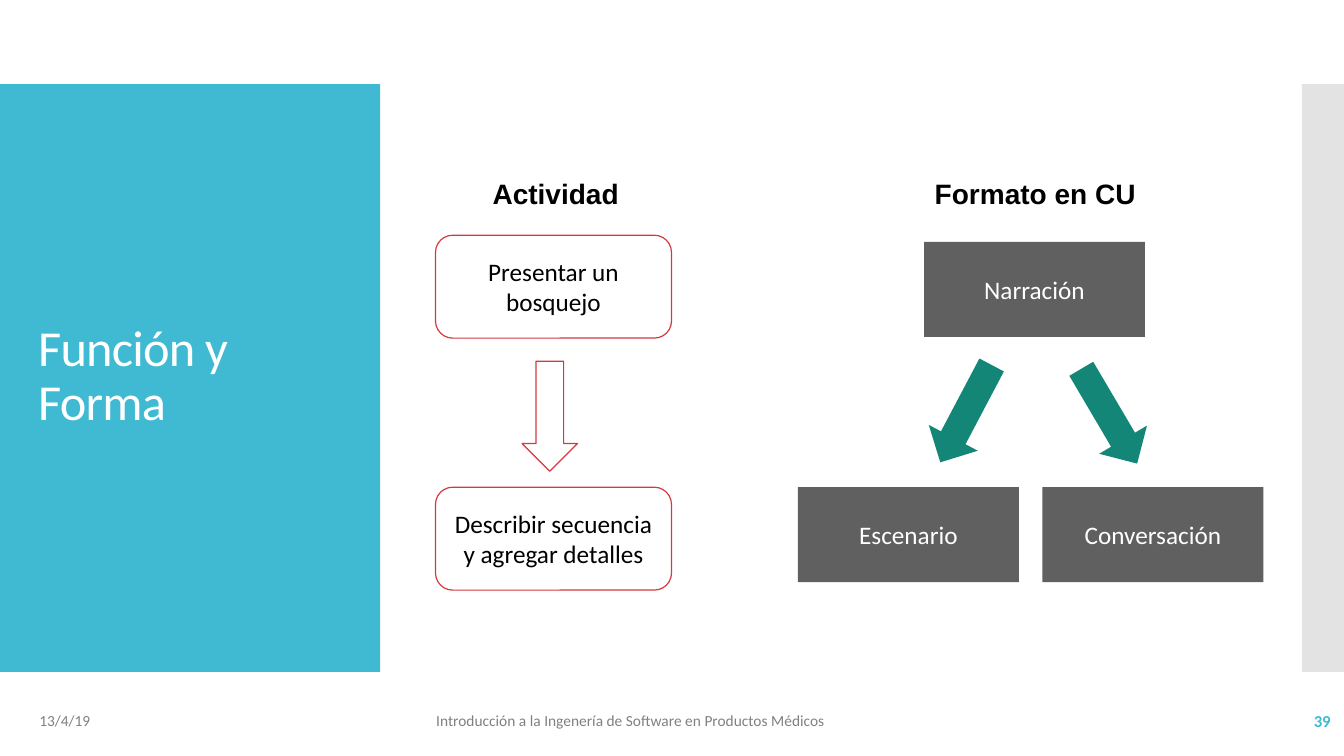
from lxml import etree
from pptx import Presentation
from pptx.dml.color import RGBColor
from pptx.enum.shapes import MSO_SHAPE
from pptx.enum.text import MSO_ANCHOR, MSO_AUTO_SIZE, PP_ALIGN
from pptx.oxml.ns import qn
from pptx.util import Inches, Pt

RECT, ROUNDED, DOWN_ARROW = MSO_SHAPE.RECTANGLE, MSO_SHAPE.ROUNDED_RECTANGLE, MSO_SHAPE.DOWN_ARROW
LEFT, CENTER, RIGHT = PP_ALIGN.LEFT, PP_ALIGN.CENTER, PP_ALIGN.RIGHT
TOP, MIDDLE = MSO_ANCHOR.TOP, MSO_ANCHOR.MIDDLE
COLUMNS, ROWS = 32, 18
TITLE_ONLY = 5

TEAL, GREEN, RED = "40BAD2", "138677", "D5393D"
WHITE, BLACK, CHARCOAL = "FFFFFF", "000000", "606060"
GRAY, SILVER = "808080", "C8C8C8"


def rgb(value):
    return RGBColor.from_string(value)


class Board:
    """Style and current slide; positions are (column, row, columns, rows)."""

    font, heading_font = "Calibri", "Arial"

    def __init__(self, deck):
        self.cell_width = deck.slide_width / COLUMNS
        self.cell_height = deck.slide_height / ROWS
        self.slide = deck.slides.add_slide(deck.slide_layouts[TITLE_ONLY])
        background = self.slide.background.fill
        background.solid()
        background.fore_color.rgb = rgb(WHITE)

    def place(self, column, row, columns, rows):
        return (round(column * self.cell_width), round(row * self.cell_height),
                round(columns * self.cell_width), round(rows * self.cell_height))

    def set_text(self, frame, text, size, color, align=LEFT, anchor=MIDDLE,
                 font=None, bold=False, wrap=True):
        frame.word_wrap = wrap
        frame.vertical_anchor = anchor
        paragraph = frame.paragraphs[0]
        paragraph.alignment = align
        run = paragraph.add_run()
        run.text = text
        run.font.name = font or self.font
        run.font.size = Pt(size)
        run.font.bold = bold
        run.font.color.rgb = rgb(color)
        return paragraph, run

    def title(self, text, spot):
        title = self.slide.shapes.title
        title.left, title.top, title.width, title.height = self.place(*spot)
        title.text_frame.auto_size = MSO_AUTO_SIZE.NONE
        paragraph, run = self.set_text(title.text_frame, text, 36, WHITE)
        paragraph.line_spacing = 0.9
        run.font._element.set("spc", "-60")
        self.slide.shapes._spTree.append(title._element)  # in front of the panel

    def label(self, text, spot, size, color, **style):
        box = self.slide.shapes.add_textbox(*self.place(*spot))
        self.set_text(box.text_frame, text, size, color, **style)

    def heading(self, text, spot):
        self.label(text, spot, 20, BLACK, align=CENTER, anchor=TOP,
                   font=self.heading_font, bold=True, wrap=False)

    def block(self, kind, spot, fill, outline=None, opacity=None, rotation=0):
        shape = self.slide.shapes.add_shape(kind, *self.place(*spot))
        shape.shadow.inherit = False
        shape.rotation = rotation
        shape.fill.solid()
        shape.fill.fore_color.rgb = rgb(fill)
        if outline:
            shape.line.color.rgb = rgb(outline)
            shape.line.width = Pt(0.85)
        else:
            shape.line.fill.background()
        if opacity is not None:
            tint = shape._element.spPr.find(qn("a:solidFill"))[0]
            etree.SubElement(tint, qn("a:alpha")).set("val", str(opacity * 1000))
        return shape

    def activity(self, text, spot):
        box = self.block(ROUNDED, spot, WHITE, outline=RED)
        self.set_text(box.text_frame, text, 18, BLACK, CENTER)

    def section(self, text, spot):
        box = self.block(RECT, spot, CHARCOAL)
        self.set_text(box.text_frame, text, 18, WHITE, CENTER)


def main():
    deck = Presentation()
    deck.slide_width, deck.slide_height = Inches(13.33), Inches(7.5)
    board = Board(deck)

    board.block(RECT, (0, 2, 9.05, 14), TEAL)
    board.block(RECT, (31, 2, 1, 14), SILVER, opacity=50)
    board.title("Función y Forma", (0.67, 2.95, 7.73, 12.07))

    footer_row, footer_height = 16.68, 0.96
    for text, column, columns in (
            ("13/4/19", 0.7, 7.2),
            ("Introducción a la Ingenería de Software en Productos Médicos", 10.15, 15.5)):
        board.label(text, (column, footer_row, columns, footer_height), 11, GRAY)
    board.label("39", (27.91, footer_row, 4.01, footer_height), 12, TEAL,
                align=RIGHT, bold=True)

    heading_row, upper_row, arrow_row, lower_row = 4.08, 5.6, 8.6, 11.6
    arrow_size = (1.32, 2.62)

    board.heading("Actividad", (11.48, heading_row, 3.5, 1.06))
    for text, row in (("Presentar un bosquejo", upper_row),
                      ("Describir secuencia y agregar detalles", lower_row)):
        board.activity(text, (10.37, row, 5.62, 2.45))
    board.block(DOWN_ARROW, (12.43, arrow_row, *arrow_size), WHITE, outline=RED)

    board.heading("Formato en CU", (22, heading_row, 5.3, 1.06))
    for text, column, row in (("Narración", 22, 5.76),
                              ("Escenario", 19, lower_row),
                              ("Conversación", 24.82, lower_row)):
        board.section(text, (column, row, 5.26, 2.26))
    for column, row, rotation in ((22.34, 8.54, 27.8), (25.75, arrow_row, 329.5)):
        board.block(DOWN_ARROW, (column, row, *arrow_size), GREEN, rotation=rotation)

    deck.save("out.pptx")


if __name__ == "__main__":
    main()
